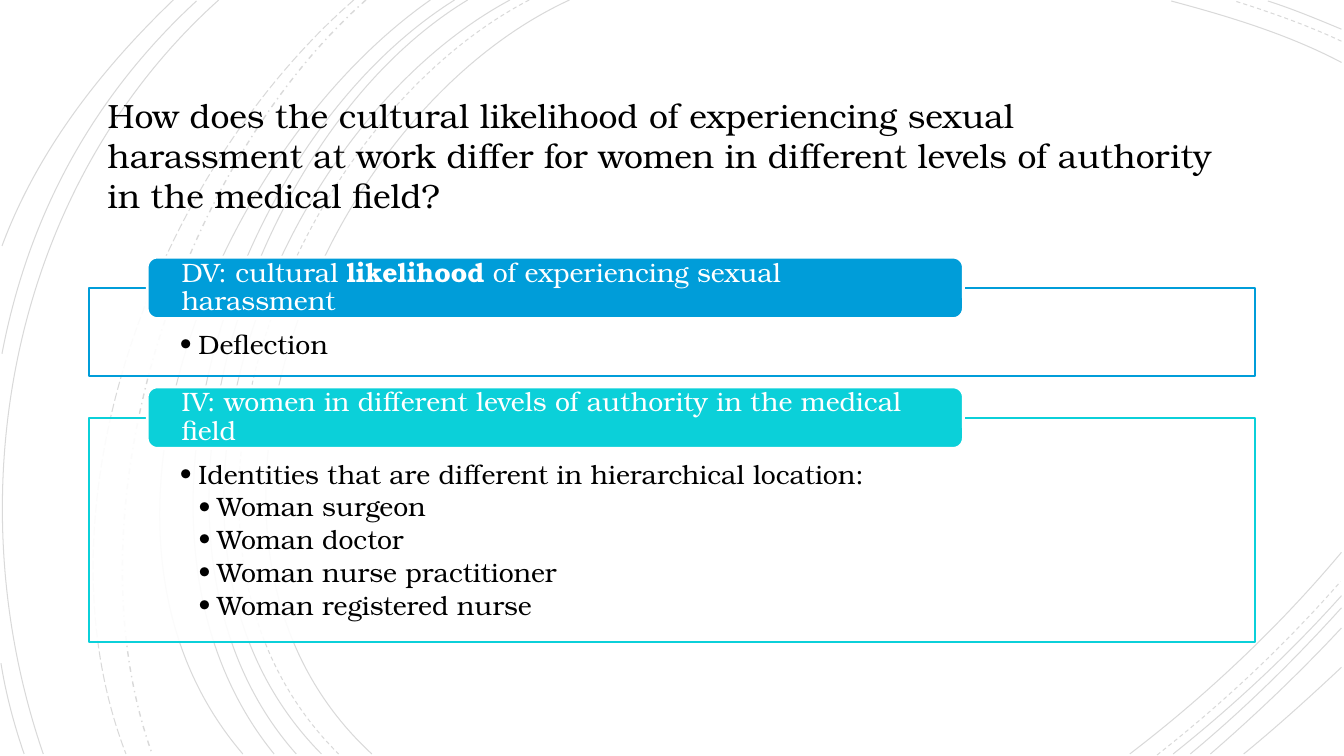
from lxml.etree import SubElement
from pptx import Presentation
from pptx.dml.color import RGBColor
from pptx.enum.dml import MSO_LINE as Dash
from pptx.enum.shapes import MSO_SHAPE as Shape
from pptx.enum.text import MSO_ANCHOR, MSO_AUTO_SIZE, PP_ALIGN
from pptx.oxml.ns import qn
from pptx.util import Cm, Pt

FONT = "TeX Gyre Bonum"
COLORS = {"text": "000000", "white": "FFFFFF", "dv": "009DD9", "iv": "0BD0D9"}

TITLE = ("How does the cultural likelihood of experiencing sexual harassment at work "
         "differ for women in different levels of authority in the medical field?")

# Each section: color, top and height in cm, heading runs (text, bold), bullets (level, text)
SECTIONS = [
    ("dv", 7.26, 2.21,
     [("DV: cultural ", False), ("likelihood", True),
      (" of experiencing sexual harassment", False)],
     [(1, "Deflection")]),
    ("iv", 10.53, 5.65,
     [("IV: women in different levels of authority in the medical field", False)],
     [(1, "Identities that are different in hierarchical location:"),
      (2, "Woman surgeon"),
      (2, "Woman doctor"),
      (2, "Woman nurse practitioner"),
      (2, "Woman registered nurse")]),
]

# Background arcs by dash style: start, two control points and end, in inches
ARCS = {
    Dash.SOLID: [
        ((5.65, 0), (3.15, 1.15), (1.43, 5.4), (3.69, 7.48)),
        ((13.31, 0.62), (12.78, 0.34), (12.18, 0.16), (11.62, 0.01)),
        ((11.21, 7.48), (11.97, 6.9), (12.69, 6.22), (13.31, 5.48)),
        ((5.06, 0), (2.7, 1.27), (1.1, 5.37), (3.19, 7.48)),
        ((13.31, 0.29), (13.07, 0.19), (12.83, 0.09), (12.58, 0.01)),
        ((11.64, 7.48), (12.23, 7.01), (12.8, 6.48), (13.31, 5.91)),
        ((4.64, 0), (2.44, 1.33), (1.1, 5.41), (2.94, 7.48)),
        ((11.81, 7.48), (12.34, 7.04), (12.84, 6.55), (13.31, 6.03)),
        ((4.51, 0), (2.31, 1.38), (0.97, 5.33), (2.72, 7.48)),
        ((12.01, 7.48), (12.46, 7.09), (12.9, 6.67), (13.31, 6.23)),
        ((4.27, 0), (2.17, 1.47), (0.53, 5.29), (2.41, 7.48)),
        ((12.34, 7.48), (12.67, 7.21), (12.99, 6.92), (13.31, 6.62)),
        ((2.17, 0), (0.11, 1.85), (-0.46, 4.9), (0.43, 7.48)),
        ((1.95, 0.01), (0.92, 0.96), (0.28, 2.14), (0.02, 3.51)),
        ((0.01, 6.58), (0.06, 6.89), (0.14, 7.19), (0.24, 7.48)),
        ((1.72, 0), (1, 0.69), (0.37, 1.5), (0.02, 2.44)),
    ],
    Dash.DASH: [
        ((5.25, 0), (2.85, 1.25), (1.23, 5.37), (3.36, 7.48)),
        ((13.31, 0.41), (12.97, 0.25), (12.6, 0.12), (12.25, 0.01)),
        ((11.48, 7.49), (12.13, 6.98), (12.75, 6.4), (13.3, 5.77)),
    ],
    Dash.DASH_DOT: [((3.63, 0), (1.76, 1.66), (0.65, 5.09), (1.51, 7.48))],
    Dash.LONG_DASH: [((3.51, 0), (1.57, 1.69), (0.29, 4.99), (1.25, 7.48))],
}
CM_PER_INCH = 2.54

BOX_LEFT, BOX_WIDTH = 2.24, 29.39
TAB_LEFT, TAB_WIDTH, TAB_HEIGHT, TAB_RISE = 3.71, 20.57, 1.55, 0.78
BULLET_INDENT = 0.47


def rgb(name):
    return RGBColor.from_string(COLORS[name])


def set_opacity(fill_parent, percent):
    color = next(fill_parent.iter(qn("a:srgbClr")))
    SubElement(color, qn("a:alpha")).set("val", str(percent * 1000))


def add_arc(shapes, arc, dash):
    points = [tuple(Cm(CM_PER_INCH * v) for v in point) for point in arc]
    builder = shapes.build_freeform(*points[0])
    builder.add_line_segments(points[1:], close=False)
    s = builder.convert_to_shape()

    # Turn the three segments into one cubic curve
    segments = list(s._element.iter(qn("a:lnTo")))
    curve = SubElement(segments[0].getparent(), qn("a:cubicBezTo"))
    for segment in segments:
        curve.append(segment[0])
        segment.getparent().remove(segment)

    s.shadow.inherit = False
    s.fill.background()
    s.line.color.rgb = rgb("text")
    s.line.width = Pt(1 if dash == Dash.DASH_DOT else 0.75)
    s.line.dash_style = dash
    set_opacity(s.line._ln, 15)


def add_box(shapes, kind, place, fill, line, width, margins, anchor):
    s = shapes.add_shape(kind, *(Cm(v) for v in place))
    s.shadow.inherit = False
    s.fill.solid()
    s.fill.fore_color.rgb = rgb(fill)
    s.line.color.rgb = rgb(line)
    s.line.width = Pt(width)
    tf = s.text_frame
    tf.word_wrap = True
    tf.vertical_anchor = anchor
    side, tf.margin_top, tf.margin_bottom = (Cm(v) for v in margins)
    tf.margin_left = tf.margin_right = side
    return s


def format_run(r, size, color, bold=False):
    r.font.name = FONT
    r.font.size = Pt(size)
    r.font.bold = bold
    r.font.color.rgb = rgb(color)


def add_bullet(p, level):
    p.level = level
    pPr = p._p.get_or_add_pPr()
    pPr.set("marL", str(Cm(BULLET_INDENT * level)))
    pPr.set("indent", str(Cm(-BULLET_INDENT)))
    SubElement(pPr, qn("a:buFont")).set("typeface", FONT)
    SubElement(pPr, qn("a:buChar")).set("char", "•")


def add_section(shapes, color, top, height, heading, bullets):
    # Outlined box with bullets
    box = add_box(shapes, Shape.RECTANGLE, (BOX_LEFT, top, BOX_WIDTH, height),
                  "white", color, 1.25, (2.29, 1.09, 0.38), MSO_ANCHOR.TOP)
    set_opacity(box._element.spPr.find(qn("a:solidFill")), 90)
    tf = box.text_frame
    for i, (level, text) in enumerate(bullets):
        p = tf.paragraphs[0] if i == 0 else tf.add_paragraph()
        p.text = text
        add_bullet(p, level)
        p.alignment = PP_ALIGN.LEFT
        p.line_spacing = 0.9
        p.space_after = Pt(2.85)
        format_run(p.runs[0], 19, "text")

    # Heading tab over the top edge
    tab = add_box(shapes, Shape.ROUNDED_RECTANGLE,
                  (TAB_LEFT, top - TAB_RISE, TAB_WIDTH, TAB_HEIGHT),
                  color, "white", 2, (0.79, 0, 0), MSO_ANCHOR.MIDDLE)
    p = tab.text_frame.paragraphs[0]
    p.alignment = PP_ALIGN.LEFT
    p.line_spacing = 0.9
    for text, bold in heading:
        r = p.add_run()
        r.text = text
        format_run(r, 19, "white", bold)


def main():
    prs = Presentation()
    prs.slide_width, prs.slide_height = Cm(33.87), Cm(19.05)
    slide = prs.slides.add_slide(prs.slide_layouts[5])
    slide.background.fill.solid()
    slide.background.fill.fore_color.rgb = rgb("white")
    shapes = slide.shapes

    # Background arcs
    for dash, arcs in ARCS.items():
        for arc in arcs:
            add_arc(shapes, arc, dash)

    # Sections
    for section in SECTIONS:
        add_section(shapes, *section)

    # Title, in front of the arcs
    title = shapes.title
    title.left, title.top, title.width, title.height = Cm(2.46), Cm(2.26), Cm(28.35), Cm(3.33)
    tf = title.text_frame
    tf.text = TITLE
    tf.word_wrap = True
    tf.auto_size = MSO_AUTO_SIZE.NONE
    tf.vertical_anchor = MSO_ANCHOR.TOP
    p = tf.paragraphs[0]
    p.alignment = PP_ALIGN.LEFT
    format_run(p.runs[0], 24, "text")
    shapes._spTree.append(title._element)

    prs.save("out.pptx")


if __name__ == "__main__":
    main()
